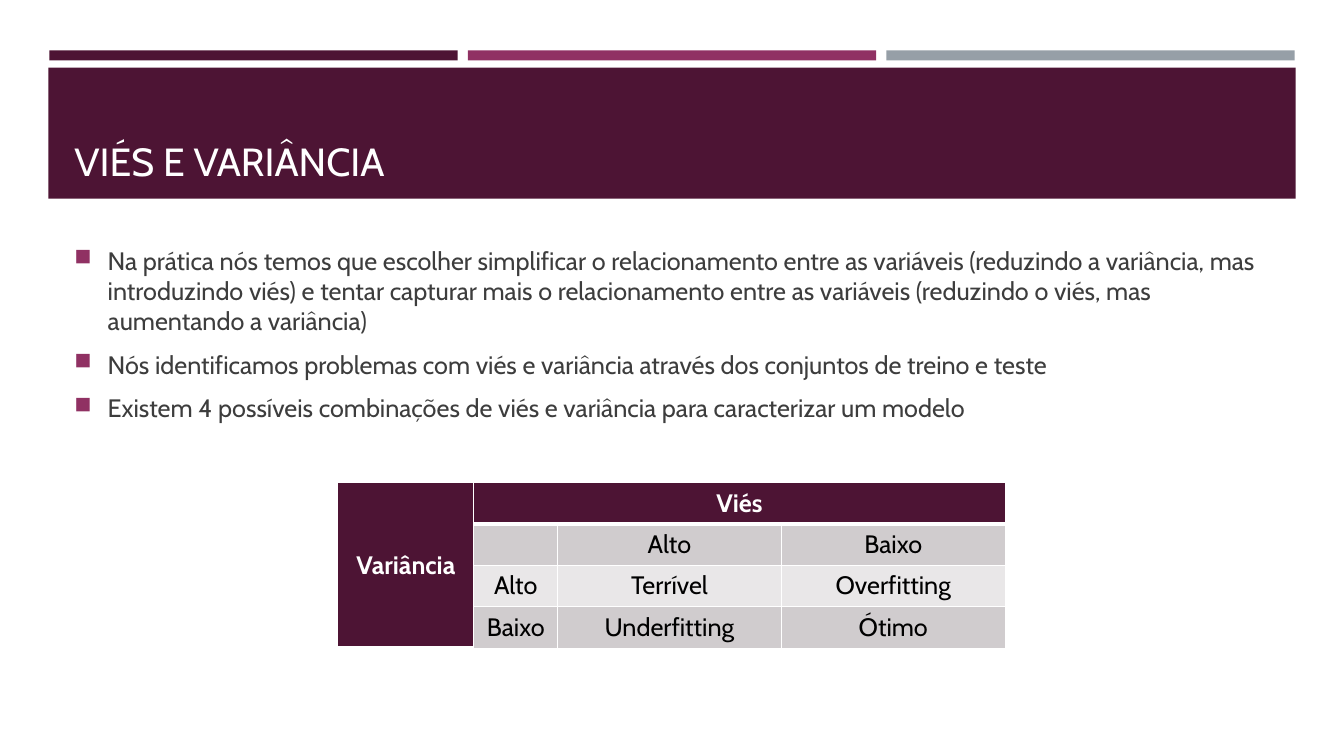
from lxml.etree import SubElement
from pptx import Presentation
from pptx.dml.color import RGBColor
from pptx.enum.shapes import MSO_SHAPE as Shape
from pptx.enum.text import MSO_ANCHOR as Anchor, PP_ALIGN as Align
from pptx.oxml.ns import qn
from pptx.util import Inches, Pt

FONT = "Cabin"
WINE, PLUM, STEEL = "4D1434", "903163", "969FA7"
WHITE, BLACK, CHARCOAL = "FFFFFF", "000000", "3D3D3D"
DARK_BAND, LIGHT_BAND = "D0CCCE", "E9E7E8"

BULLETS = [
    "Na prática nós temos que escolher simplificar o relacionamento entre as variáveis "
    "(reduzindo a variância, mas introduzindo viés) e tentar capturar mais o relacionamento "
    "entre as variáveis (reduzindo o viés, mas aumentando a variância)",
    "Nós identificamos problemas com viés e variância através dos conjuntos de treino e teste",
    "Existem 4 possíveis combinações de viés e variância para caracterizar um modelo",
]
COLUMN_WIDTHS = [1.35, 0.83, 2.22, 2.22]
ROW_HEIGHT = 0.41
MATRIX = [
    ["Variância", "Viés", "", ""],
    ["", "", "Alto", "Baixo"],
    ["", "Alto", "Terrível", "Overfitting"],
    ["", "Baixo", "Underfitting", "Ótimo"],
]


def color(value):
    """Turn a hex string into a colour."""
    return RGBColor.from_string(value)


def add_bar(page, left, top, width, height, fill):
    """Add a plain filled rectangle."""
    bar = page.shapes.add_shape(
        Shape.RECTANGLE, Inches(left), Inches(top), Inches(width), Inches(height))
    bar.shadow.inherit = False
    bar.fill.solid()
    bar.fill.fore_color.rgb = color(fill)
    bar.line.fill.background()


def write(para, text, size=18, ink=CHARCOAL, bold=False, align=Align.LEFT):
    """Write one formatted span into a paragraph."""
    para.alignment = align
    span = para.add_run()
    span.text = text
    span.font.name = FONT
    span.font.size = Pt(size)
    span.font.bold = bold
    span.font.color.rgb = color(ink)


def add_box(page, left, top, width, height, anchor=Anchor.TOP):
    """Add a wrapping text box and return its text frame."""
    box = page.shapes.add_textbox(Inches(left), Inches(top), Inches(width), Inches(height))
    frame = box.text_frame
    frame.word_wrap = True
    frame.vertical_anchor = anchor
    return frame


def set_bullet(para, indent=0.33):
    """Give a paragraph a square bullet with a hanging indent."""
    properties = para._p.get_or_add_pPr()
    properties.set("marL", str(Inches(indent)))
    properties.set("indent", str(-Inches(indent)))
    tint = SubElement(properties, qn("a:buClr"))
    SubElement(tint, qn("a:srgbClr"), val=PLUM)
    SubElement(properties, qn("a:buSzPct"), val="92000")
    SubElement(properties, qn("a:buChar"), char="■")


def add_bullets(page, texts):
    """Add the bulleted list."""
    frame = add_box(page, 0.64, 2.38, 12.06, 4.02)
    for index, text in enumerate(texts):
        para = frame.add_paragraph() if index else frame.paragraphs[0]
        para.space_before = Pt(3.6)
        para.space_after = Pt(6)
        set_bullet(para)
        write(para, text)


def set_borders(cell, top=1, bottom=1):
    """Draw white borders around a cell."""
    properties = cell._tc.get_or_add_tcPr()
    for side, width in (("L", 1), ("R", 1), ("T", top), ("B", bottom)):
        line = SubElement(properties, qn(f"a:ln{side}"), w=str(Pt(width)))
        SubElement(SubElement(line, qn("a:solidFill")), qn("a:srgbClr"), val=WHITE)


def add_matrix(page):
    """Add the bias and variance table."""
    rows, columns = len(MATRIX), len(COLUMN_WIDTHS)
    table = page.shapes.add_table(
        rows, columns, Inches(3.35), Inches(4.79),
        Inches(sum(COLUMN_WIDTHS)), Inches(ROW_HEIGHT * rows)).table
    for column, width in zip(table.columns, COLUMN_WIDTHS):
        column.width = Inches(width)
    for row_index, texts in enumerate(MATRIX):
        table.rows[row_index].height = Inches(ROW_HEIGHT)
        for column_index, text in enumerate(texts):
            cell = table.cell(row_index, column_index)
            header = row_index == 0 or column_index == 0
            band = DARK_BAND if row_index % 2 else LIGHT_BAND
            set_borders(cell, top=3 if row_index == 1 and column_index else 1,
                        bottom=3 if row_index == 0 else 1)
            cell.fill.solid()
            cell.fill.fore_color.rgb = color(WINE if header else band)
            cell.vertical_anchor = Anchor.MIDDLE if header else Anchor.TOP
            if text:
                write(cell.text_frame.paragraphs[0], text, bold=header,
                      ink=WHITE if header else BLACK, align=Align.CENTER)
    table.cell(0, 0).merge(table.cell(rows - 1, 0))
    table.cell(0, 1).merge(table.cell(0, columns - 1))


def main():
    """Build and save the slide."""
    deck = Presentation()
    deck.slide_width, deck.slide_height = Inches(13.33), Inches(7.5)
    page = deck.slides.add_slide(deck.slide_layouts[6])
    for index, fill in enumerate((WINE, PLUM, STEEL)):
        add_bar(page, 0.49 + 4.15 * index, 0.5, 4.05, 0.1, fill)
    add_bar(page, 0.48, 0.67, 12.37, 1.3, WINE)
    title = add_box(page, 0.64, 0.77, 12.06, 1.11, anchor=Anchor.BOTTOM)
    write(title.paragraphs[0], "VIÉS E VARIÂNCIA", size=28, ink=WHITE)
    add_bullets(page, BULLETS)
    add_matrix(page)
    deck.save("out.pptx")


if __name__ == "__main__":
    main()
